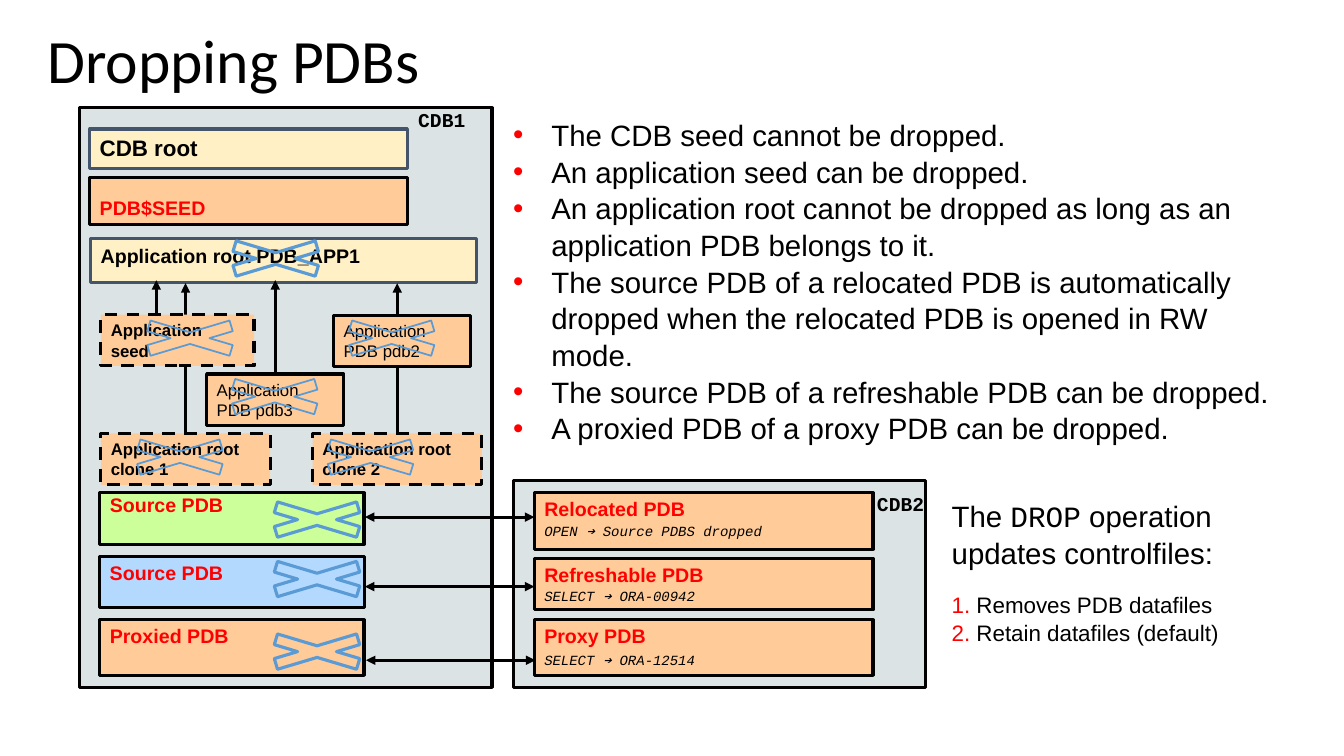
from lxml.etree import SubElement
from pptx import Presentation
from pptx.dml.color import RGBColor
from pptx.enum.dml import MSO_LINE
from pptx.enum.shapes import MSO_CONNECTOR, MSO_SHAPE
from pptx.enum.text import MSO_ANCHOR
from pptx.oxml.ns import qn
from pptx.util import Emu, Pt

PX = 9144  # 100 px to the inch
BLACK = RGBColor(0x00, 0x00, 0x00)
RED = RGBColor(0xFF, 0x00, 0x00)
GREY = RGBColor(0xDC, 0xE3, 0xE4)
ORANGE = RGBColor(0xFF, 0xCC, 0x99)
CREAM = RGBColor(0xFF, 0xF0, 0xC5)
GREEN = RGBColor(0xCC, 0xFF, 0x99)
SKY = RGBColor(0xB3, 0xD9, 0xFF)
SLATE = RGBColor(0x44, 0x54, 0x6A)
BLUE = RGBColor(0x5B, 0x9B, 0xD5)
MONO = "Courier New"


def px(*lengths):
    return [Emu(length * PX) for length in lengths]


def write(shape, text, size, color=BLACK, bold=False, font="Arial",
          anchor=MSO_ANCHOR.TOP, inset=5, spacing=1.0, italic=False):
    """Fill a shape with one left-aligned, uniformly formatted paragraph."""
    frame = shape.text_frame
    frame.word_wrap = True
    frame.vertical_anchor = anchor
    frame.margin_top, = px(inset)
    frame.text = text
    para = frame.paragraphs[0]
    para.line_spacing = spacing
    para.alignment = 1
    face = para.runs[0].font
    face.name, face.size, face.bold, face.italic = font, Pt(size), bold, italic
    face.color.rgb = color


deck = Presentation()
deck.slide_width, deck.slide_height = px(1333, 750)
page = deck.slides.add_slide(deck.slide_layouts[6])
shapes = page.shapes

title = shapes.add_textbox(*px(37, -9, 1150, 145))
write(title, "Dropping PDBs", 44, font="Calibri", anchor=MSO_ANCHOR.MIDDLE, spacing=0.9)

# Containers, then their boxes: place, fill, line colour, dashed, text settings
CDB1, CDB2 = (79, 107, 409, 575), (509, 477, 409, 205)
heading = {"size": 14, "color": RED, "bold": True, "inset": 4}
small = {"size": 12, "anchor": MSO_ANCHOR.MIDDLE}
small_bold = {**small, "bold": True}
back_boxes = [
    (CDB1, GREY, BLACK, False, "", {}),
    (CDB2, GREY, BLACK, False, "", {}),
    ((89, 128, 315, 39), CREAM, SLATE, False, "CDB root", {"size": 16, "bold": True}),
    ((89, 176, 315, 47), ORANGE, BLACK, False, "PDB$SEED",
     {**heading, "anchor": MSO_ANCHOR.BOTTOM}),
    ((90, 237, 383, 43), CREAM, SLATE, False, "Application root PDB_APP1",
     {"size": 14, "bold": True}),
    ((99, 489, 262, 51), GREEN, BLACK, False, "Source PDB", {**heading, "inset": 0}),
    ((99, 552, 263, 51), SKY, BLACK, False, "Source PDB",
     {**heading, "inset": 8, "spacing": 0.85}),
    ((99, 615, 262, 55), ORANGE, BLACK, False, "Proxied PDB", heading),
    ((530, 489, 336, 56), ORANGE, BLACK, False, "Relocated PDB", heading),
    ((530, 554, 336, 51), ORANGE, BLACK, False, "Refreshable PDB", heading),
    ((530, 615, 336, 55), ORANGE, BLACK, False, "Proxy PDB", heading),
    ((205, 371, 136, 51), ORANGE, BLACK, False, "Application PDB pdb3", small),
    ((100, 430, 168, 51), ORANGE, BLACK, True, "Application root clone 1", small_bold),
    ((310, 430, 168, 51), ORANGE, BLACK, True, "Application root clone 2", small_bold),
]
front_boxes = [
    ((100, 312, 152, 51), ORANGE, BLACK, True, "Application seed", small_bold),
    ((331, 313, 136, 51), ORANGE, BLACK, False, "Application PDB pdb2", small),
]
# Start, end, box whose top the arrow leaves from, arrowheads
arrows = [
    ((155, 314), (155, 278), None, ["tailEnd"]),
    ((273, 371), (273, 278), "Application PDB pdb3", ["tailEnd"]),
    ((184, 430), (184, 281), "Application root clone 1", ["tailEnd"]),
    ((394, 430), (394, 281), "Application root clone 2", ["tailEnd"]),
    ((530, 513), (362, 513), None, ["headEnd", "tailEnd"]),
    ((530, 582), (362, 582), None, ["headEnd", "tailEnd"]),
    ((531, 655), (363, 655), None, ["headEnd", "tailEnd"]),
]

box_by_text = {}
for boxes, links in ((back_boxes, arrows), (front_boxes, [])):
    for place, fill, line, dashed, text, style in boxes:
        box = shapes.add_shape(MSO_SHAPE.RECTANGLE, *px(*place))
        box.shadow.inherit = False
        box.fill.solid()
        box.fill.fore_color.rgb = fill
        box.line.color.rgb = line
        box.line.width = Pt(2.25)
        if dashed:
            box.line.dash_style = MSO_LINE.DASH
        if text:
            write(box, text, **style)
            box_by_text[text] = box
    for start, end, source, heads in links:
        arrow = shapes.add_connector(MSO_CONNECTOR.STRAIGHT, *px(*start, *end))
        if source:
            arrow.begin_connect(box_by_text[source], 0)
        arrow.line.color.rgb = BLACK
        arrow.line.width = Pt(2.25)
        for head in heads:
            SubElement(arrow.line._get_or_add_ln(), qn(f"a:{head}"), type="triangle")
        SubElement(arrow._element.spPr, qn("a:effectLst"))

# Crosses over everything that can be dropped
crosses = [
    (195, 233, 2.25), (236, 492, 2.25), (236, 551, 2.25), (236, 623, 2.25),
    (110, 312, 1.25), (310, 312, 1.25), (194, 370, 1.25), (100, 430, 1.25),
    (289, 430, 1.25),
]
for left, top, width in crosses:
    cross = shapes.add_shape(MSO_SHAPE.MATH_MULTIPLY, *px(left, top, 157, 47))
    cross.shadow.inherit = False
    cross.fill.background()
    cross.line.color.rgb = BLUE
    cross.line.width = Pt(width)

for left, top, name in ((405, 107, "CDB1"), (860, 488, "CDB2")):
    label = shapes.add_textbox(*px(left, top, 93, 30))
    write(label, name, 14, bold=True, font=MONO, spacing=0.8)

statements = [
    (513, "OPEN ➔ Source PDBS dropped"),
    (578, "SELECT ➔ ORA-00942"),
    (641, "SELECT ➔ ORA-12514"),
]
for top, statement in statements:
    note = shapes.add_textbox(*px(530, top, 346, 27))
    write(note, statement, 10, font=MONO, italic=True)

# Rules on the right and the effect of DROP below them
rules = [
    "The CDB seed cannot be dropped.",
    "An application seed can be dropped.",
    "An application root cannot be dropped as long as an application PDB belongs to it.",
    "The source PDB of a relocated PDB is automatically dropped when the relocated PDB "
    "is opened in RW mode.",
    "The source PDB of a refreshable PDB can be dropped.",
    "A proxied PDB of a proxy PDB can be dropped.",
]
effects = ["", " Removes PDB datafiles", " Retain datafiles (default)"]
bullet = ("buChar", {"char": "•"}, 50, -38)
number = ("buAutoNum", {"type": "arabicPeriod"}, 0, 0)
lists = [
    ((487, 110, 788, 383), rules, 21, bullet),
    ((934, 488, 331, 170), effects, 16, number),
]
for place, lines, size, (tag, marker, margin, indent) in lists:
    frame = shapes.add_textbox(*px(*place)).text_frame
    frame.word_wrap = True
    frame.text = "\n".join(lines)
    for para in frame.paragraphs:
        para.line_spacing = 1.04
        if para.text:
            para.font.size = Pt(size)
            properties = para._p.get_or_add_pPr()
            properties.set("marL", str(margin * PX))
            properties.set("indent", str(indent * PX))
            bullet_color = SubElement(properties, qn("a:buClr"))
            SubElement(bullet_color, qn("a:srgbClr"), val=str(RED))
            SubElement(properties, qn("a:buFont"), typeface="Arial")
            SubElement(properties, qn(f"a:{tag}"), **marker)
            # Default run properties follow the bullet in the schema order
            properties.append(properties.find(qn("a:defRPr")))
        else:
            para.space_after = Pt(14)
            for word in ("The ", "DROP", " operation updates controlfiles:"):
                para.add_run().text = word
        for span in para.runs:
            span.font.name = MONO if span.text == "DROP" else "Arial"
            span.font.size = Pt(size if para.text in lines else 21)
            span.font.color.rgb = BLACK

deck.save("out.pptx")
